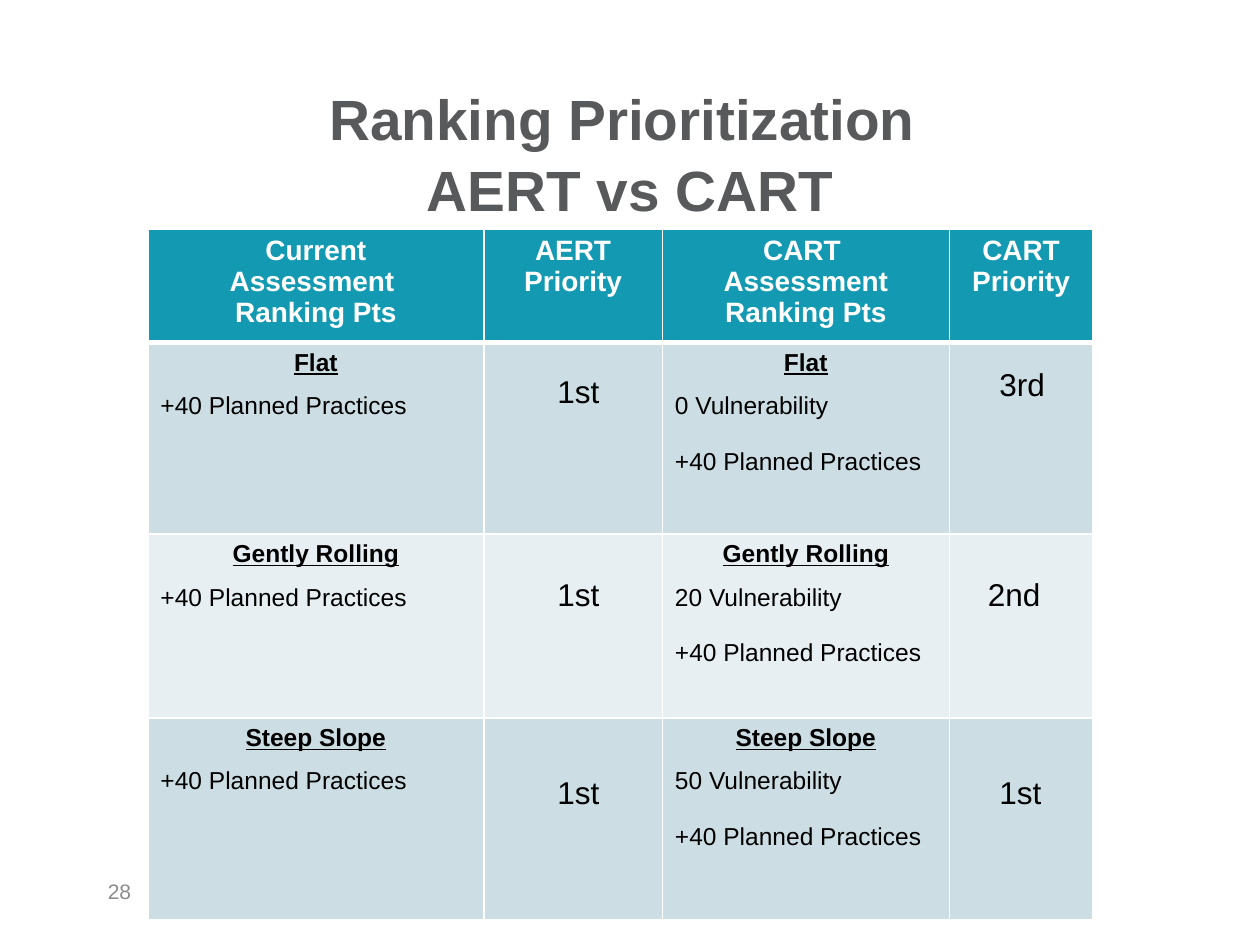
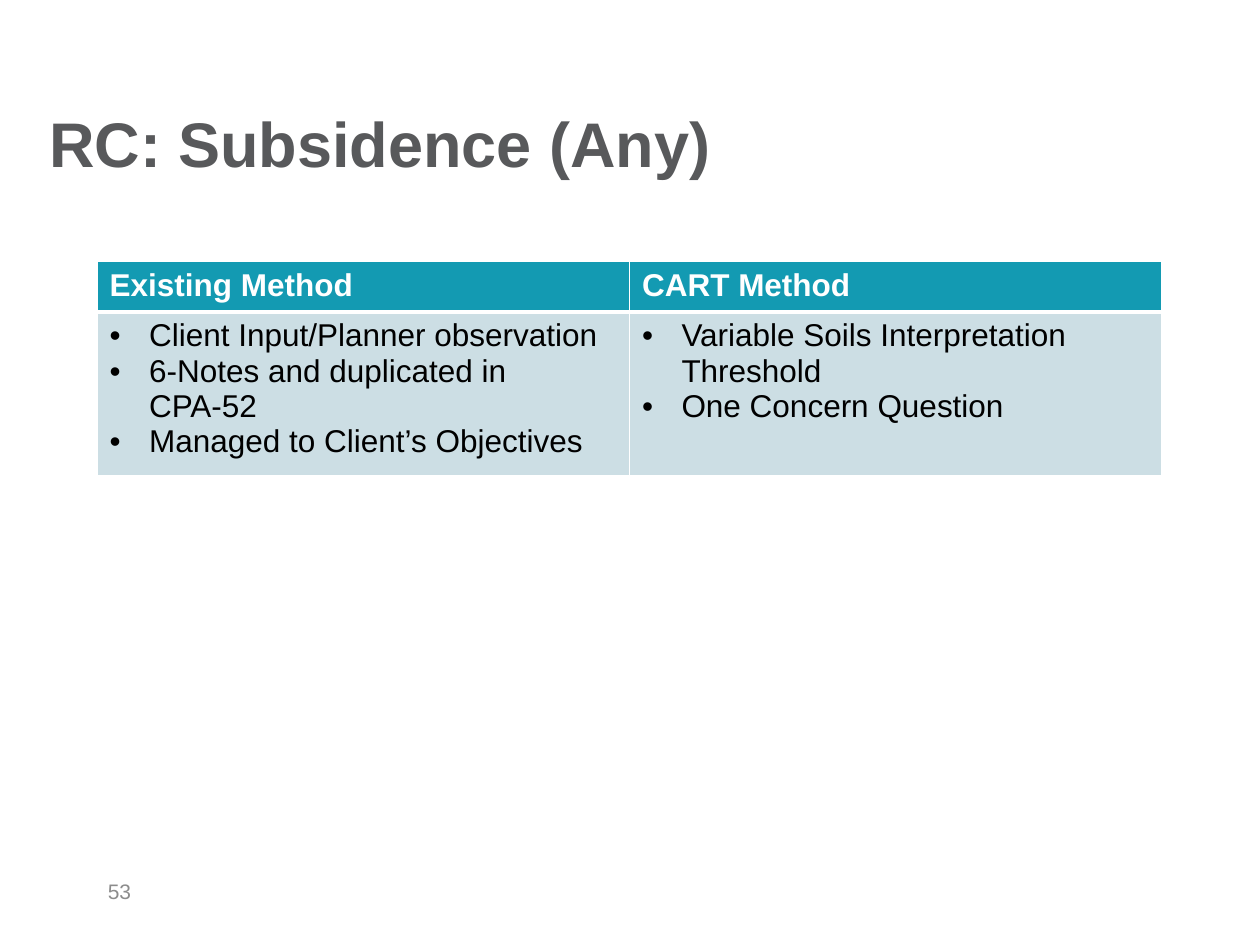
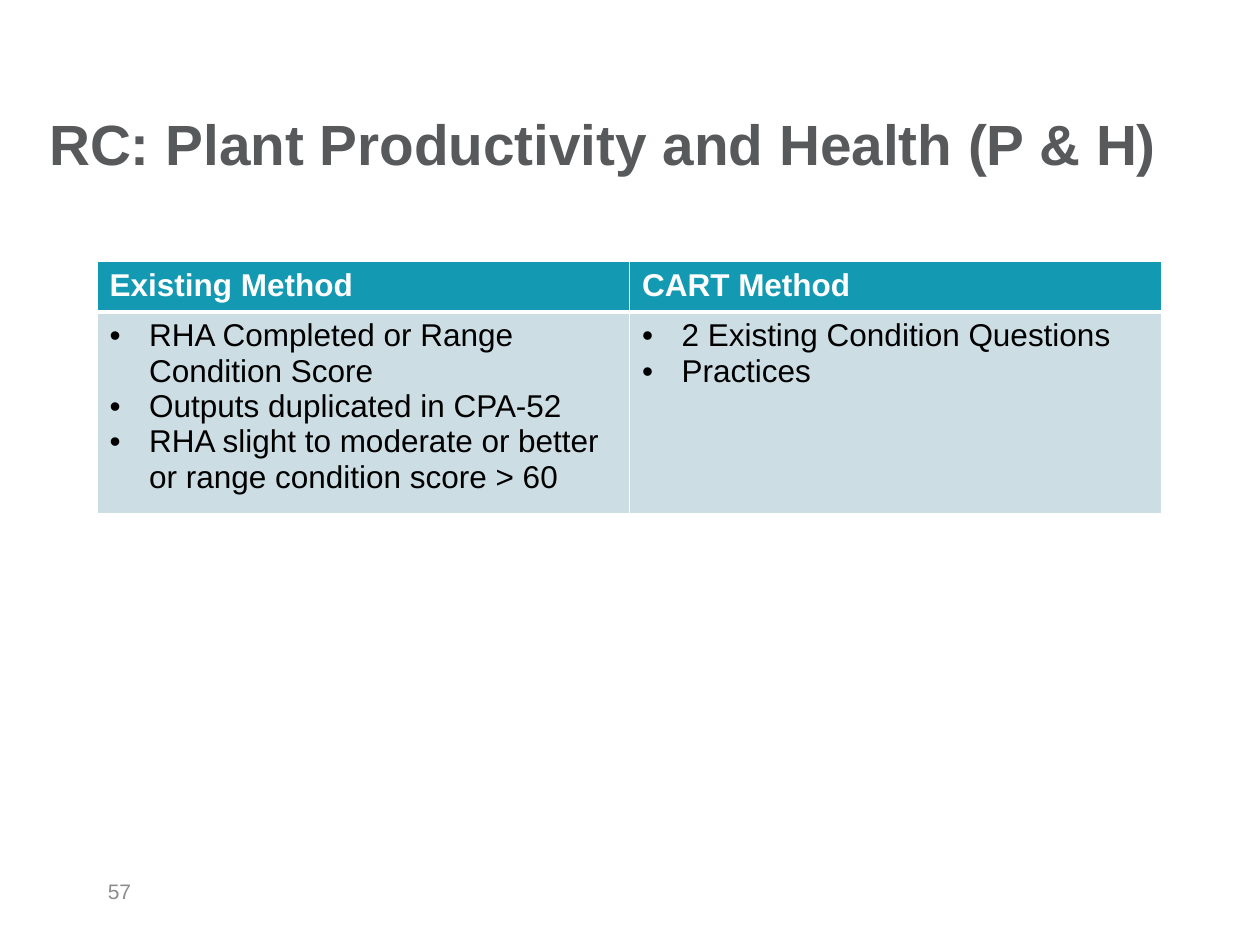
"""Build three slides that set the existing ranking method beside CART."""
import dataclasses
import typing

import lxml.etree
import pptx
import pptx.dml.color
import pptx.enum.text
import pptx.oxml.ns
import pptx.util

Pt = pptx.util.Pt
ALIGN = pptx.enum.text.PP_ALIGN
ANCHOR = pptx.enum.text.MSO_ANCHOR
qn = pptx.oxml.ns.qn


@dataclasses.dataclass(frozen=True)
class Theme:
    """Colours, font and type sizes shared by the slides."""
    font: str = "Arial"
    title: str = "58595B"
    number: str = "8C8C8C"
    text: str = "000000"
    white: str = "FFFFFF"
    header: str = "139AB2"
    bands: tuple = ("CCDEE4", "E7EFF2")
    title_size: float = 36
    small_title_size: float = 32.4
    body_size: float = 18
    head_size: float = 16
    cell_size: float = 14
    number_size: float = 12


class Box(typing.NamedTuple):
    """A rectangle in points."""
    left: float
    top: float
    width: float
    height: float


THEME = Theme()
SLIDE = Box(0, 0, 720, 540)
NUMBER_BOX = Box(54.5, 494.5, 168, 29)
RC_TITLE_BOX = Box(21, 44.5, 648, 74)
RC_TABLE_BOX = Box(55.5, 149.5, 608.5, 114)
RANKING_TITLE_BOX = Box(0, 49.5, 720, 74)
RANKING_TABLE_BOX = Box(84.5, 131, 540, 392)

RANKING_COLUMNS = (192, 102, 164, 82)
RANKING_ROWS = (62, 109.5, 105, 115.5)
RANKING_HEADS = (
    ("Current", "Assessment ", "Ranking Pts"),
    ("AERT", "Priority"),
    ("CART ", "Assessment Ranking Pts"),
    ("CART", "Priority"),
)
PRACTICES = "+40 Planned Practices"
TERRAINS = (("Flat", 0), ("Gently Rolling", 20), ("Steep Slope", 50))
PRIORITIES = (
    ("1st", 227, 78), ("1st", 227, 194), ("1st", 227, 307),
    ("3rd", 479.5, 74), ("2nd", 473, 194), ("1st", 479.5, 307),
)


def rgb(colour):
    """Return a colour object for a hex string."""
    return pptx.dml.color.RGBColor.from_string(colour)


def add_run(p, text, size, colour, bold=False, underline=False):
    """Add one formatted run to a paragraph."""
    r = p.add_run()
    r.text = text
    f = r.font
    f.name, f.size, f.bold, f.underline = THEME.font, Pt(size), bold, underline
    f.color.rgb = rgb(colour)


def next_paragraph(tf, index):
    """Return the first paragraph of a frame, or a new one after it."""
    return tf.add_paragraph() if index else tf.paragraphs[0]


def add_text_box(s, box, anchor=ANCHOR.TOP):
    """Add a wrapping text box and return its frame."""
    tf = s.shapes.add_textbox(*map(Pt, box)).text_frame
    tf.word_wrap = True
    tf.vertical_anchor = anchor
    return tf


def add_title(s, box, lines, size, align=ALIGN.LEFT):
    """Add the slide title, one line break between its lines."""
    p = add_text_box(s, box, ANCHOR.MIDDLE).paragraphs[0]
    p.alignment = align
    if len(lines) > 1:
        p.line_spacing = 1.05
    for i, line in enumerate(lines):
        if i:
            p.add_line_break()
        add_run(p, line, size, THEME.title, bold=True)


def add_number(s, box, number):
    """Add the slide number."""
    p = add_text_box(s, box, ANCHOR.MIDDLE).paragraphs[0]
    add_run(p, str(number), THEME.number_size, THEME.number)


def style_cell(cell, row):
    """Give a cell its white borders and band fill."""
    tc_pr = cell._tc.get_or_add_tcPr()
    widths = {"lnL": 1, "lnR": 1, "lnT": 3 if row == 1 else 1, "lnB": 1 if row else 3}
    for tag, width in widths.items():
        ln = lxml.etree.SubElement(tc_pr, qn(f"a:{tag}"), w=str(Pt(width)))
        fill = lxml.etree.SubElement(ln, qn("a:solidFill"))
        lxml.etree.SubElement(fill, qn("a:srgbClr"), val=THEME.white)
    cell.fill.solid()
    band = THEME.bands[(row - 1) % 2] if row else THEME.header
    cell.fill.fore_color.rgb = rgb(band)


def add_grid(s, box, columns, rows):
    """Add a styled empty table with the given column and row sizes."""
    frame = s.shapes.add_table(len(rows), len(columns), *map(Pt, box))
    table = frame.table
    for column, width in zip(table.columns, columns):
        column.width = Pt(width)
    for i, height in enumerate(rows):
        table.rows[i].height = Pt(height)
        for cell in table.rows[i].cells:
            style_cell(cell, i)
    return table


def fill_header(cell, lines, size, align):
    """Write the lines of a header cell."""
    for i, line in enumerate(lines):
        p = next_paragraph(cell.text_frame, i)
        p.alignment = align
        add_run(p, line, size, THEME.white, bold=True)


def fill_terrain(cell, name, points):
    """Write a terrain name and the points it earns."""
    tf = cell.text_frame
    p = tf.paragraphs[0]
    p.alignment = ALIGN.CENTER
    add_run(p, name, THEME.cell_size, THEME.text, bold=True, underline=True)
    for line, gap in zip(points, (9, 16)):
        p = tf.add_paragraph()
        p.space_before = Pt(gap)
        add_run(p, line, THEME.cell_size, THEME.text)


def fill_bullets(cell, items):
    """Write a bulleted list into a cell."""
    for i, item in enumerate(items):
        p = next_paragraph(cell.text_frame, i)
        p_pr = p._p.get_or_add_pPr()
        p_pr.set("marL", str(Pt(22.5)))
        p_pr.set("indent", str(-Pt(22.5)))
        lxml.etree.SubElement(p_pr, qn("a:buFont"), typeface=THEME.font)
        lxml.etree.SubElement(p_pr, qn("a:buChar"), char="•")
        add_run(p, item, THEME.body_size, THEME.text)


def add_ranking_table(s, box):
    """Add the table of ranking points with its priority labels."""
    table = add_grid(s, box, RANKING_COLUMNS, RANKING_ROWS)
    for i, lines in enumerate(RANKING_HEADS):
        fill_header(table.cell(0, i), lines, THEME.head_size, ALIGN.CENTER)
    for i, (name, vulnerability) in enumerate(TERRAINS, 1):
        fill_terrain(table.cell(i, 0), name, [PRACTICES])
        fill_terrain(table.cell(i, 2), name,
                     [f"{vulnerability} Vulnerability", PRACTICES])
    for label, dx, dy in PRIORITIES:
        tf = add_text_box(s, Box(box.left + dx, box.top + dy, 66, 29))
        add_run(tf.paragraphs[0], label, THEME.body_size, THEME.text)


def add_method_table(s, box, existing, cart, body_height):
    """Add the two-column table of existing and CART methods."""
    table = add_grid(s, box, [box.width / 2] * 2, (27, body_height))
    methods = (("Existing Method", existing), ("CART Method", cart))
    for i, (head, items) in enumerate(methods):
        fill_header(table.cell(0, i), [head], THEME.body_size, ALIGN.LEFT)
        fill_bullets(table.cell(1, i), items)


def add_slide(prs, number):
    """Add a blank slide with its number."""
    s = prs.slides.add_slide(prs.slide_layouts[6])
    add_number(s, NUMBER_BOX, number)
    return s


def ranking_slide(prs, number):
    """Add the slide that ranks AERT against CART."""
    s = add_slide(prs, number)
    add_title(s, RANKING_TITLE_BOX, ("Ranking Prioritization ", "AERT vs CART"),
              THEME.small_title_size, ALIGN.CENTER)
    add_ranking_table(s, RANKING_TABLE_BOX)


def concern_slide(prs, number, title, size, existing, cart, body_height):
    """Add a slide that compares methods for one resource concern."""
    s = add_slide(prs, number)
    add_title(s, RC_TITLE_BOX, [title], size)
    add_method_table(s, RC_TABLE_BOX, existing, cart, body_height)


def main():
    """Build and save the presentation."""
    prs = pptx.Presentation()
    prs.slide_width, prs.slide_height = Pt(SLIDE.width), Pt(SLIDE.height)
    ranking_slide(prs, 28)
    concern_slide(
        prs, 53, "RC: Subsidence (Any)", THEME.title_size,
        ("Client Input/Planner observation",
         "6-Notes and duplicated in CPA-52",
         "Managed to Client’s Objectives"),
        ("Variable Soils Interpretation Threshold", "One Concern Question"), 87)
    concern_slide(
        prs, 57, "RC: Plant Productivity and Health (P & H)", THEME.small_title_size,
        ("RHA Completed or Range Condition Score",
         "Outputs duplicated in CPA-52",
         "RHA slight to moderate or better or range condition score > 60"),
        ("2 Existing Condition Questions", "Practices"), 107)
    prs.save("out.pptx")


if __name__ == "__main__":
    main()
